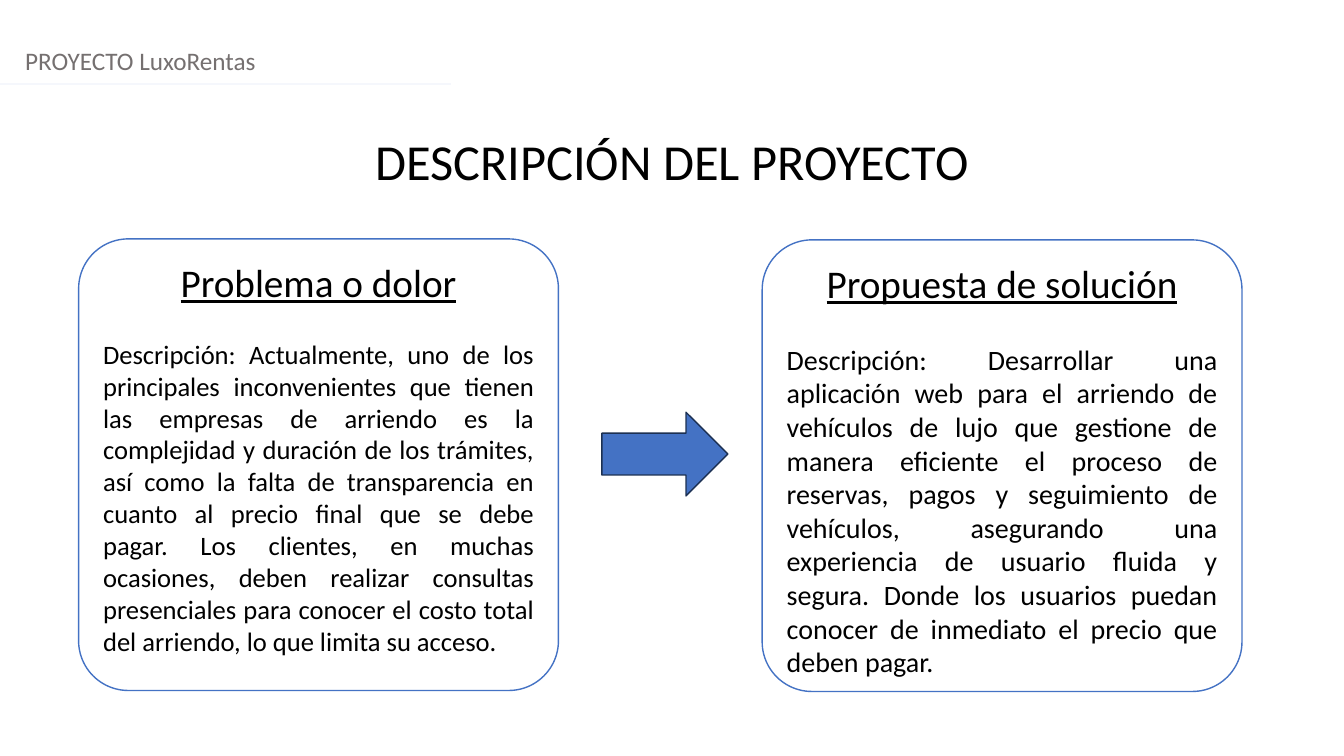
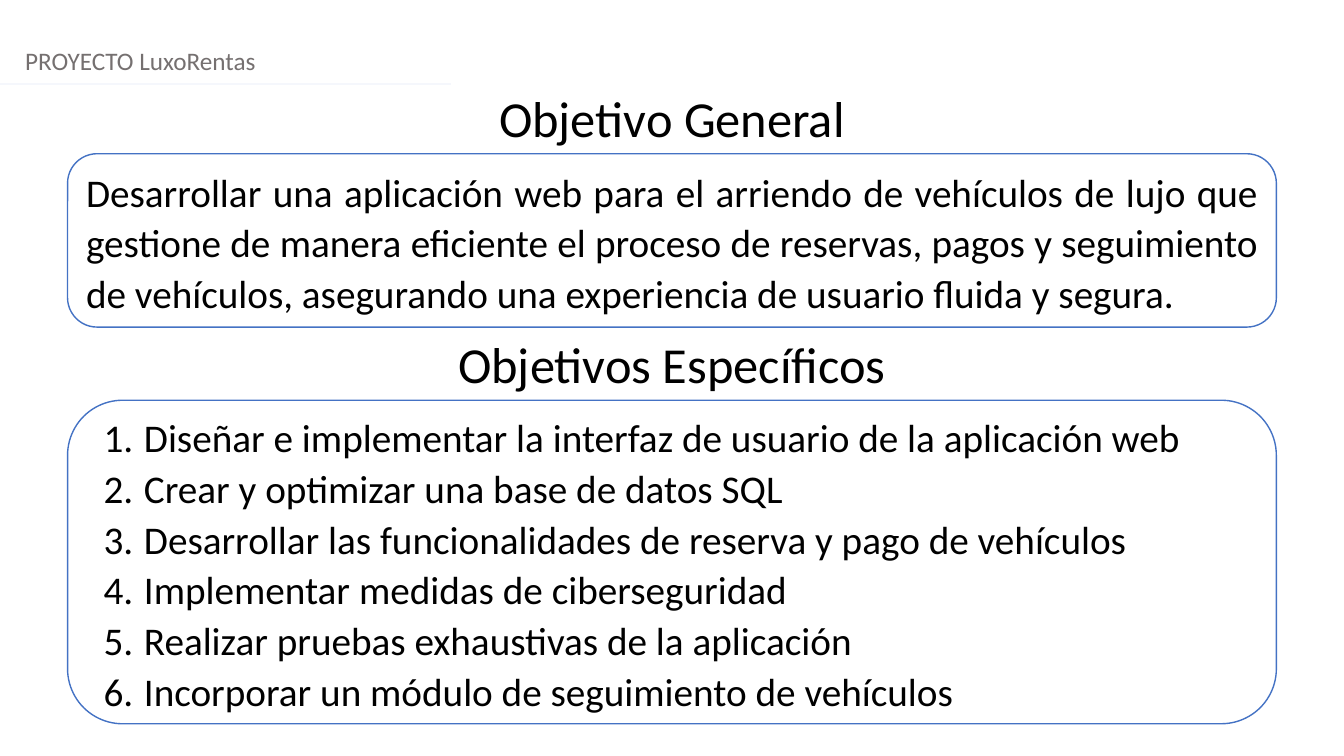
from dataclasses import dataclass

from lxml import etree
from pptx import Presentation
from pptx.dml.color import RGBColor
from pptx.enum.shapes import MSO_CONNECTOR, MSO_SHAPE
from pptx.enum.text import MSO_ANCHOR, PP_ALIGN
from pptx.oxml.ns import qn
from pptx.util import Inches, Pt

LEFT, CENTER, JUSTIFY = PP_ALIGN.LEFT, PP_ALIGN.CENTER, PP_ALIGN.JUSTIFY
TOP, MIDDLE = MSO_ANCHOR.TOP, MSO_ANCHOR.MIDDLE
ROUNDED, ARROW = MSO_SHAPE.ROUNDED_RECTANGLE, MSO_SHAPE.RIGHT_ARROW
STRAIGHT = MSO_CONNECTOR.STRAIGHT


@dataclass(frozen=True)
class Theme:
    font: str = "Calibri"
    ink: str = "000000"
    muted: str = "757070"
    paper: str = "FFFFFF"
    accent: str = "4472C4"
    accent_dark: str = "1C3052"
    rule: str = "F5F7FC"
    header: int = 18
    heading: int = 36
    large: int = 28
    heading_rows: float = 9.47


THEME = Theme()


def rgb(value):
    return RGBColor.from_string(value)


def write(tf, text, size=THEME.large, color=THEME.ink, align=LEFT, underline=False,
          spacing=None, before=None, after=None, numbered=False):
    p = tf.paragraphs[0]
    if p.runs:
        p = tf.add_paragraph()
    p.alignment = align
    if spacing is not None:
        p.line_spacing = spacing
    if before is not None:
        p.space_before = Pt(before)
    if after is not None:
        p.space_after = Pt(after)
    if numbered:
        pPr = p._p.get_or_add_pPr()
        pPr.set("marL", str(Inches(0.5)))
        pPr.set("indent", str(Inches(-0.4)))
        etree.SubElement(pPr, qn("a:buFont"), typeface="+mj-lt")
        etree.SubElement(pPr, qn("a:buAutoNum"), type="arabicPeriod")
    r = p.add_run()
    r.text = text
    r.font.name = THEME.font
    r.font.size = Pt(size)
    r.font.color.rgb = rgb(color)
    r.font.underline = underline


class Deck:
    COLS = ROWS = 100

    def __init__(self):
        self.prs = Presentation()
        self.prs.slide_width = Inches(13.33)
        self.prs.slide_height = Inches(7.5)
        self.s = None

    def x(self, cols):
        return round(self.prs.slide_width * cols / self.COLS)

    def y(self, rows):
        return round(self.prs.slide_height * rows / self.ROWS)

    def area(self, col, row, cols, rows):
        return self.x(col), self.y(row), self.x(cols), self.y(rows)

    def slide(self, header):
        self.s = self.prs.slides.add_slide(self.prs.slide_layouts[6])
        self.label(header, 1.13, 5.33, 98.87, 5.33, size=THEME.header, color=THEME.muted)
        self.rule(0, 33.52, 11.07)

    def label(self, text, col, row, cols, rows, **fmt):
        tf = self.s.shapes.add_textbox(*self.area(col, row, cols, rows)).text_frame
        tf.word_wrap = True
        write(tf, text, **fmt)

    def heading(self, text, row):
        self.label(text, 0, row, self.COLS, THEME.heading_rows,
                   size=THEME.heading, align=CENTER)

    def rule(self, start, end, row):
        line = self.s.shapes.add_connector(
            STRAIGHT, self.x(start), self.y(row), self.x(end), self.y(row))
        line.line.color.rgb = rgb(THEME.rule)
        line.line.width = Pt(1.25)
        etree.SubElement(line._element.spPr, qn("a:effectLst"))

    def shape(self, kind, col, row, cols, rows, fill, line):
        sp = self.s.shapes.add_shape(kind, *self.area(col, row, cols, rows))
        sp.shadow.inherit = False
        sp.fill.solid()
        sp.fill.fore_color.rgb = rgb(fill)
        sp.line.color.rgb = rgb(line)
        sp.line.width = Pt(1)
        return sp

    def panel(self, col, row, cols, rows, corner, anchor):
        sp = self.shape(ROUNDED, col, row, cols, rows, THEME.paper, THEME.accent)
        sp.adjustments[0] = corner
        tf = sp.text_frame
        tf.word_wrap = True
        tf.vertical_anchor = anchor
        return tf

    def card(self, col, row, title, body, size, gap):
        tf = self.panel(col, row, 35.7, 59.73, 0.11, TOP)
        write(tf, title, align=CENTER, underline=True, after=gap)
        write(tf, body, size=size, align=JUSTIFY)

    def arrow(self, col, row, cols, rows):
        self.shape(ARROW, col, row, cols, rows, THEME.accent, THEME.accent_dark)

    def section(self, title, row, rows):
        self.heading(title, row)
        width = 89.94
        return self.panel((self.COLS - width) / 2, row + THEME.heading_rows,
                          width, rows, 0.17, MIDDLE)


HEADER = "PROYECTO LuxoRentas"
PROBLEM = (
    "Descripción: Actualmente, uno de los principales inconvenientes que tienen las "
    "empresas de arriendo es la complejidad y duración de los trámites, así como la "
    "falta de transparencia en cuanto al precio final que se debe pagar. Los clientes, "
    "en muchas ocasiones, deben realizar consultas presenciales para conocer el costo "
    "total del arriendo, lo que limita su acceso."
)
GOAL = (
    "Desarrollar una aplicación web para el arriendo de vehículos de lujo que gestione "
    "de manera eficiente el proceso de reservas, pagos y seguimiento de vehículos, "
    "asegurando una experiencia de usuario fluida y segura."
)
SOLUTION = (
    f"Descripción: {GOAL} Donde los usuarios puedan conocer de inmediato el precio "
    "que deben pagar."
)
OBJECTIVES = [
    "Diseñar e implementar la interfaz de usuario de la aplicación web",
    "Crear y optimizar una base de datos SQL",
    "Desarrollar las funcionalidades de reserva y pago de vehículos",
    "Implementar medidas de ciberseguridad",
    "Realizar pruebas exhaustivas de la aplicación",
    "Incorporar un módulo de seguimiento de vehículos",
]


def description(deck):
    deck.slide(HEADER)
    deck.heading("DESCRIPCIÓN DEL PROYECTO", 16.53)
    deck.card(5.85, 31.6, "Problema o dolor", PROBLEM, size=19, gap=23)
    deck.card(56.71, 31.73, "Propuesta de solución", SOLUTION, size=20, gap=25.5)
    deck.arrow(44.78, 54.53, 9.38, 11.07)


def objectives(deck):
    deck.slide(HEADER)
    tf = deck.section("Objetivo General", 10.87, 22.93)
    write(tf, GOAL, align=JUSTIFY, spacing=1.08, before=12, after=12)
    tf = deck.section("Objetivos Específicos", 43.47, 42.8)
    for i, text in enumerate(OBJECTIVES):
        write(tf, text, spacing=1.08, before=0 if i else 12, numbered=True)


def main():
    deck = Deck()
    description(deck)
    objectives(deck)
    deck.prs.save("out.pptx")


if __name__ == "__main__":
    main()
